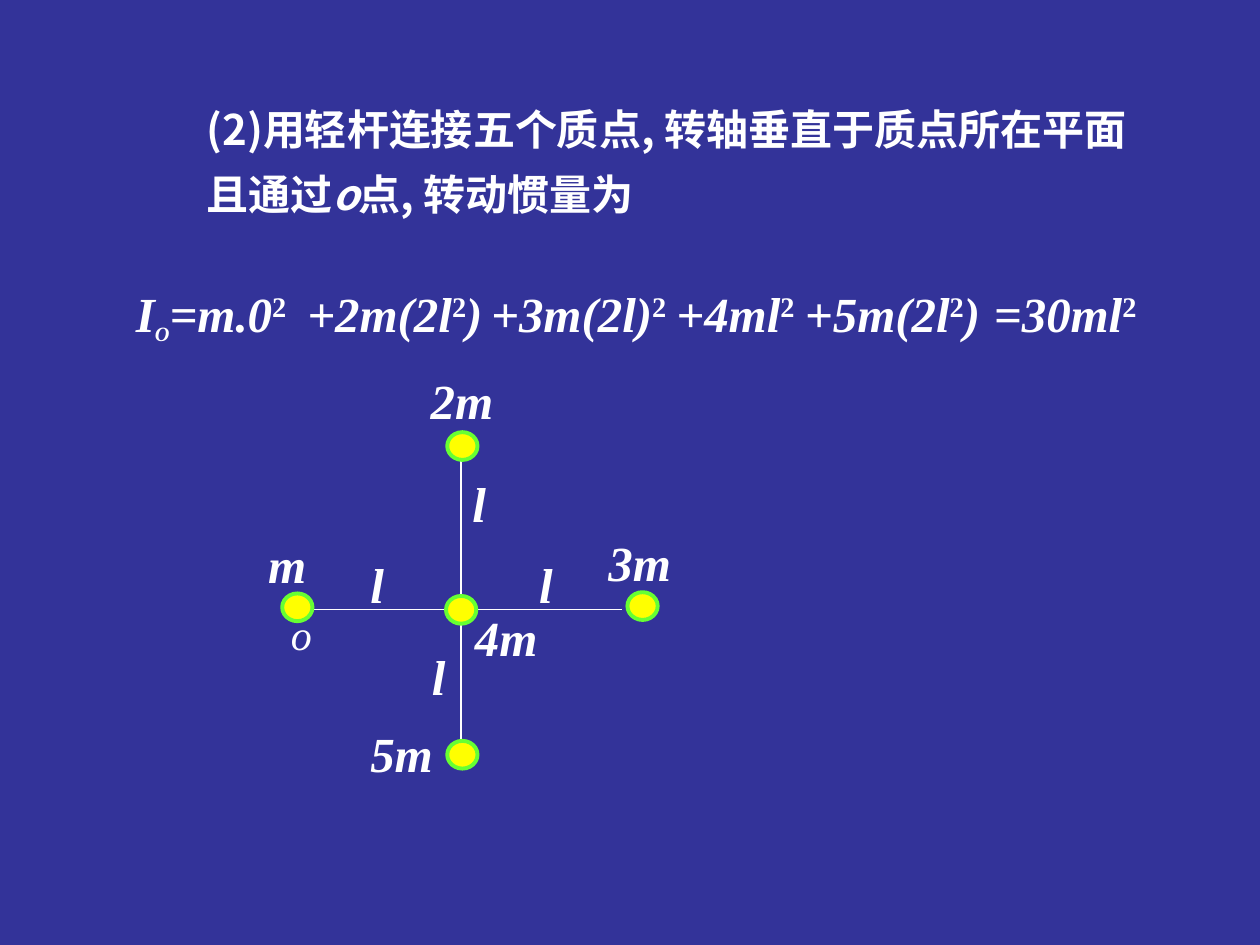
from lxml.etree import SubElement
from pptx import Presentation
from pptx.dml.color import RGBColor
from pptx.enum.shapes import MSO_CONNECTOR, MSO_SHAPE
from pptx.enum.text import MSO_AUTO_SIZE
from pptx.oxml.ns import qn
from pptx.util import Inches, Pt

COLORS = {
    "background": "333399",
    "text": "FFFFFF",
    "mass": "FFFF00",
    "mass_edge": "66FF33",
}
LATIN = "Times New Roman"
CHINESE = "Noto Sans CJK SC"
MASS_WIDTH, MASS_HEIGHT = 0.24, 0.22
LINE_HEIGHT = 0.57

SQUARED = ("2", {"italic": False, "baseline": 30})
TERMS = [
    (0.98, 1.54, [("I", {}), ("O", {"size": 20, "baseline": -25}), ("=m.0", {}), SQUARED]),
    (2.34, 1.81, [("+2m(2l", {}), SQUARED, (")", {})]),
    (3.8, 1.74, [("+3m(2l)", {}), SQUARED]),
    (5.27, 1.37, [("+4ml", {}), SQUARED]),
    (6.29, 1.91, [("+5m(2l", {}), SQUARED, (")", {})]),
    (7.79, 1.47, [("=30ml", {}), SQUARED]),
]
LABELS = [
    ("m", 2.03, 4.19, 0.58),
    ("2m", 3.32, 2.89, 0.76),
    ("3m", 4.73, 4.18, 0.78),
    ("4m", 3.67, 4.77, 1.05),
    ("5m", 2.84, 5.69, 0.79),
    ("l", 2.84, 4.35, 0.48),
    ("l", 3.65, 3.71, 0.43),
    ("l", 4.18, 4.35, 0.41),
    ("l", 3.33, 5.08, 0.38),
]
RODS = [(3.66, 3.66, 3.66, 5.91), (2.36, 4.84, 4.94, 4.84)]
MASSES = [(3.55, 5.88), (4.98, 4.7), (3.54, 4.73), (3.55, 3.43), (2.24, 4.71)]


def color(name):
    return RGBColor.from_string(COLORS[name])


def add_text(page, spans, left, top, width, height=LINE_HEIGHT, size=28,
             face=LATIN, bold=True, italic=True, spacing=None):
    box = page.shapes.add_textbox(Inches(left), Inches(top), Inches(width), Inches(height))
    frame = box.text_frame
    frame.word_wrap = True
    frame.auto_size = MSO_AUTO_SIZE.SHAPE_TO_FIT_TEXT
    para = frame.paragraphs[0]
    para.line_spacing = spacing
    font = para.font
    font.name, font.size, font.bold, font.italic = face, Pt(size), bold, italic
    font.color.rgb = color("text")
    for text, style in spans:
        span = para.add_run()
        span.text = text
        properties = span.font._element
        if "italic" in style:
            span.font.italic = style["italic"]
        if "size" in style:
            span.font.size = Pt(style["size"])
        if "baseline" in style:
            properties.set("baseline", str(style["baseline"] * 1000))
        SubElement(properties, qn("a:ea")).set("typeface", face)


def add_rod(page, start_x, start_y, end_x, end_y):
    rod = page.shapes.add_connector(
        MSO_CONNECTOR.STRAIGHT, Inches(start_x), Inches(start_y), Inches(end_x), Inches(end_y))
    rod.line.color.rgb = color("text")
    rod.line.width = Pt(0.75)
    SubElement(rod._element.spPr, qn("a:effectLst"))


def add_mass(page, left, top):
    mass = page.shapes.add_shape(
        MSO_SHAPE.OVAL, Inches(left), Inches(top), Inches(MASS_WIDTH), Inches(MASS_HEIGHT))
    mass.shadow.inherit = False
    mass.fill.solid()
    mass.fill.fore_color.rgb = color("mass")
    mass.line.color.rgb = color("mass_edge")
    mass.line.width = Pt(2.25)


def main():
    deck = Presentation()
    deck.slide_width, deck.slide_height = Inches(10), Inches(7.5)
    page = deck.slides.add_slide(deck.slide_layouts[6])
    page.background.fill.solid()
    page.background.fill.fore_color.rgb = color("background")

    for left, width, spans in TERMS:
        add_text(page, spans, left, 2.2, width)
    add_text(page, [("o", {})], 2.21, 4.78, 0.55, 0.5, size=24, bold=False)
    for text, left, top, width in LABELS:
        add_text(page, [(text, {})], left, top, width)
    for rod in RODS:
        add_rod(page, *rod)
    for mass in MASSES:
        add_mass(page, *mass)

    statement = [
        ("(2)用轻杆连接五个质点, 转轴垂直于质点所在平面且通过", {}),
        ("o", {"italic": True}),
        ("点, 转动惯量为", {}),
    ]
    add_text(page, statement, 1.54, 0.65, 7.78, 1.14, size=24,
             face=CHINESE, italic=False, spacing=1.3)
    deck.save("out.pptx")


if __name__ == "__main__":
    main()
